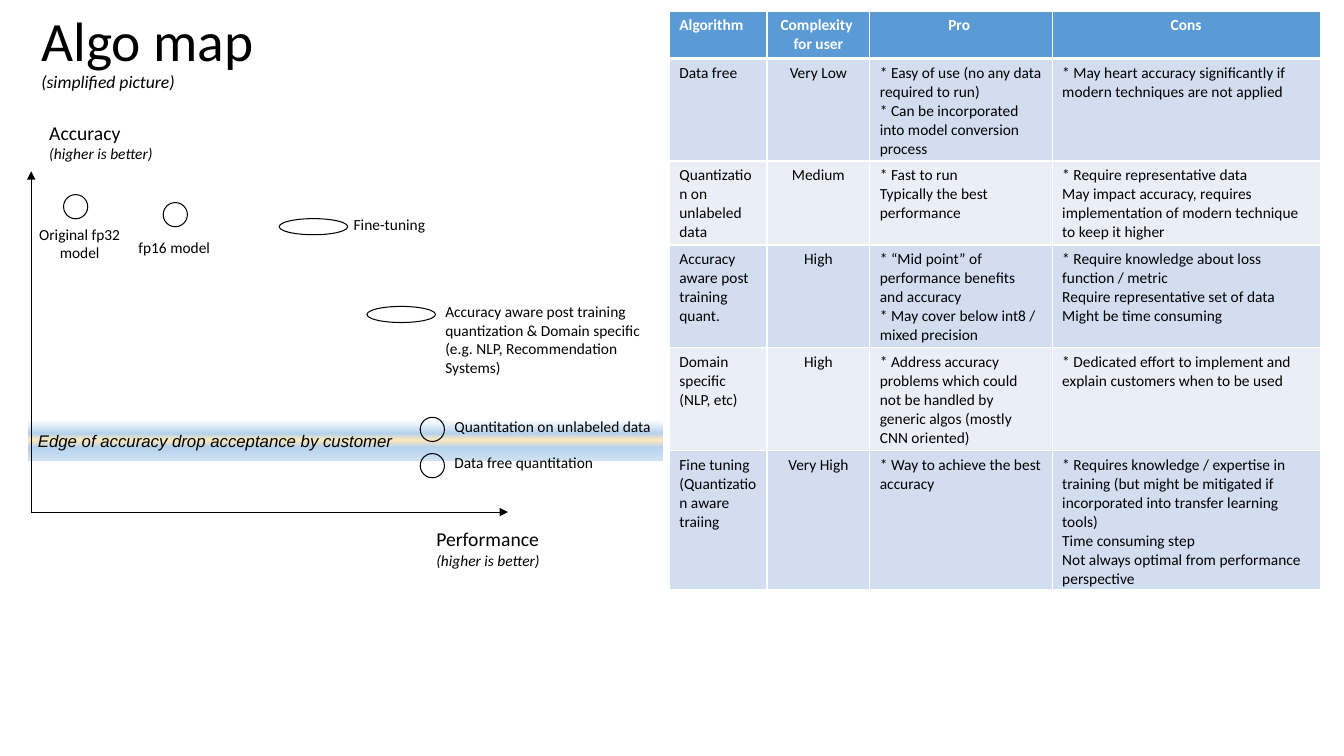
import pptx
import pptx.dml.color
import pptx.enum.shapes
import pptx.enum.text
import pptx.oxml
import pptx.oxml.ns
import pptx.util
from dataclasses import dataclass
from lxml import etree

Pt = pptx.util.Pt
qn = pptx.oxml.ns.qn
Align = pptx.enum.text.PP_ALIGN
Anchor = pptx.enum.text.MSO_ANCHOR
Shape = pptx.enum.shapes.MSO_SHAPE


@dataclass(frozen=True)
class Theme:
    font: str = "Calibri"
    band_font: str = "Arial"
    ink: str = "000000"
    paper: str = "FFFFFF"
    header: str = "5B9BD5"
    rows: tuple = ("D2DEEF", "EAEFF7")
    band: tuple = ((0, "F7FAFD"), (31, "B5D2EC"), (48, "FFE8BA"), (66, "B5D2EC"), (100, "CEE1F2"))
    title: float = 39.6
    subtitle: float = 12.6
    axis: float = 14
    band_size: float = 12
    body: float = 11


class AlgoSlide:
    def __init__(self, slide, theme):
        self.slide = slide
        self.theme = theme

    def style(self, paragraph, size, color=None, font=None, bold=False, italic=False, align=Align.LEFT):
        paragraph.alignment = align
        for run in paragraph.runs:
            run.font.name = font or self.theme.font
            run.font.size = Pt(size)
            run.font.bold, run.font.italic = bold, italic
            run.font.color.rgb = pptx.dml.color.RGBColor.from_string(color or self.theme.ink)

    def title(self, heading, subtitle, left, top, width, height):
        title = self.slide.shapes.title
        title.left, title.top, title.width, title.height = Pt(left), Pt(top), Pt(width), Pt(height)
        frame = title.text_frame
        frame.auto_size = pptx.enum.text.MSO_AUTO_SIZE.NONE
        frame.vertical_anchor = Anchor.MIDDLE
        paragraph = frame.paragraphs[0]
        paragraph.text = f"{heading} \v{subtitle}"
        paragraph.line_spacing = 0.9
        self.style(paragraph, self.theme.title)
        paragraph.runs[1].font.size = Pt(self.theme.subtitle)
        paragraph.runs[1].font.italic = True
        line_break = paragraph._p.find(qn("a:br"))
        etree.SubElement(line_break, qn("a:rPr")).set("sz", str(round(self.theme.title * 100)))

    def label(self, lines, left, top, width, height, align=Align.LEFT, wrap=True):
        frame = self.slide.shapes.add_textbox(Pt(left), Pt(top), Pt(width), Pt(height)).text_frame
        frame.word_wrap = wrap
        frame.auto_size = pptx.enum.text.MSO_AUTO_SIZE.SHAPE_TO_FIT_TEXT
        frame.text = "\n".join(lines)
        for paragraph in frame.paragraphs:
            self.style(paragraph, self.theme.body, align=align)
        return frame

    def axis(self, name, start, end, left, top, width):
        arrow = self.slide.shapes.add_connector(
            pptx.enum.shapes.MSO_CONNECTOR.STRAIGHT, *map(Pt, start + end))
        arrow.line.width = Pt(0.5)
        arrow.line.color.rgb = pptx.dml.color.RGBColor.from_string(self.theme.ink)
        etree.SubElement(arrow.line._get_or_add_ln(), qn("a:tailEnd")).set("type", "triangle")
        etree.SubElement(arrow._element.spPr, qn("a:effectLst"))
        caption = self.label([name, "(higher is better)"], left, top, width, 38.9).paragraphs
        self.style(caption[0], self.theme.axis)
        self.style(caption[1], self.theme.body, italic=True)

    def marker(self, left, top, width, height):
        marker = self.slide.shapes.add_shape(Shape.OVAL, Pt(left), Pt(top), Pt(width), Pt(height))
        marker.shadow.inherit = False
        marker.fill.background()
        marker.line.width = Pt(0.75)
        marker.line.color.rgb = pptx.dml.color.RGBColor.from_string(self.theme.ink)

    def band(self, text, left, top, width, height):
        band = self.slide.shapes.add_shape(Shape.RECTANGLE, Pt(left), Pt(top), Pt(width), Pt(height))
        band.shadow.inherit = False
        band.line.fill.background()
        # Five gradient stops, running top to bottom
        band.fill.gradient()
        band.fill.gradient_angle = 270
        stops = band._element.spPr.find(qn("a:gradFill")).find(qn("a:gsLst"))
        for stop in list(stops):
            stops.remove(stop)
        for position, color in self.theme.band:
            stop = etree.SubElement(stops, qn("a:gs"), pos=str(position * 1000))
            etree.SubElement(stop, qn("a:srgbClr"), val=color)
        band.text_frame.vertical_anchor = Anchor.MIDDLE
        band.text_frame.text = text
        self.style(band.text_frame.paragraphs[0], self.theme.band_size,
                   font=self.theme.band_font, italic=True)

    def borders(self, cell, top, bottom):
        properties = cell._tc.get_or_add_tcPr()
        for side, width in (("L", 1), ("R", 1), ("T", top), ("B", bottom)):
            edge = etree.SubElement(properties, qn(f"a:ln{side}"), w=str(Pt(width)))
            fill = etree.SubElement(edge, qn("a:solidFill"))
            etree.SubElement(fill, qn("a:srgbClr"), val=self.theme.paper)

    def table(self, rows, left, top, widths, header_height, row_height):
        heights = [header_height] + [row_height] * (len(rows) - 1)
        table = self.slide.shapes.add_table(
            len(rows), len(widths), Pt(left), Pt(top), Pt(sum(widths)), Pt(sum(heights))).table
        for column, width in zip(table.columns, widths):
            column.width = Pt(width)
        for r, (texts, height) in enumerate(zip(rows, heights)):
            table.rows[r].height = Pt(height)
            is_header = r == 0
            fill = self.theme.header if is_header else self.theme.rows[(r - 1) % 2]
            for c, text in enumerate(texts):
                cell = table.cell(r, c)
                self.borders(cell, top=3 if r == 1 else 1, bottom=3 if is_header else 1)
                cell.fill.solid()
                cell.fill.fore_color.rgb = pptx.dml.color.RGBColor.from_string(fill)
                cell.text_frame.text = text
                centred = c == 1 or (is_header and c > 0)
                for paragraph in cell.text_frame.paragraphs:
                    self.style(paragraph, self.theme.body,
                               color=self.theme.paper if is_header else None, bold=is_header,
                               align=Align.CENTER if centred else Align.LEFT)


ALGORITHMS = [
    ("Algorithm", "Complexity \nfor user", "Pro ", "Cons"),
    ("Data free", "Very Low",
     "* Easy of use (no any data required to run)\n"
     "* Can be incorporated into model conversion process",
     "* May heart accuracy significantly if modern techniques are not applied"),
    ("Quantization on unlabeled data", "Medium",
     "* Fast to run\nTypically the best performance",
     "* Require representative data\n"
     "May impact accuracy, requires implementation of modern technique to keep it higher"),
    ("Accuracy aware post training quant.", "High",
     "* “Mid point” of performance benefits and accuracy\n"
     "* May cover below int8 / mixed precision",
     "* Require knowledge about loss function / metric\n"
     "Require representative set of data\nMight be time consuming"),
    ("Domain specific (NLP, etc)", "High",
     "* Address accuracy problems which could not be handled by generic algos (mostly CNN oriented)",
     "* Dedicated effort to implement and explain customers when to be used"),
    ("Fine tuning (Quantization aware traiing", "Very High",
     "* Way to achieve the best accuracy",
     "* Requires knowledge / expertise in training "
     "(but might be mitigated if incorporated into transfer learning tools)\n"
     "Time consuming step\nNot always optimal from performance perspective"),
]


def main():
    deck = pptx.Presentation()
    deck.slide_width, deck.slide_height = Pt(960), Pt(540)
    page = AlgoSlide(deck.slides.add_slide(deck.slide_layouts[5]), Theme())

    page.title("Algo map", "(simplified picture)", 22.3, 3.6, 801.4, 68.4)
    page.band("Edge of accuracy drop acceptance by customer", 20, 301, 453.6, 28)

    # Axes
    origin = (22.3, 365.8)
    page.axis("Accuracy", origin, (origin[0], 122.4), 28.1, 82.8, 90.7)
    page.axis("Performance", origin, (362.9, origin[1]), 304.6, 373, 96.5)

    # Algorithms on the map: circles, then flat ellipses
    for left, top in ((45.4, 139), (116.6, 144.7), (300.2, 324), (300.2, 298.1)):
        page.marker(left, top, 17.3, 17.3)
    for left, top in ((199.4, 156.2), (262.1, 218.9)):
        page.marker(left, top, 49, 11.5)

    # Algorithm names
    page.label(["Original fp32 model"], 5.8, 157, 102.2, 33.8, Align.CENTER)
    page.label(["fp16 model"], 91.4, 166.3, 66.2, 21.6, Align.CENTER, wrap=False)
    page.label(["Data free quantitation"], 317.5, 320.4, 118.8, 20.9)
    page.label(["Quantitation on unlabeled data"], 317.5, 294.5, 162, 20.9)
    page.label(["Fine-tuning"], 245.5, 149.8, 162, 20.9)
    page.label(["Accuracy aware post training",
                "quantization & Domain specific (e.g. NLP, Recommendation Systems)"],
               311, 212.4, 173.5, 60.5)

    # Comparison table
    page.table(ALGORITHMS, 478.1, 7.9, (69.8, 73.4, 130.3, 191.5), 33.8, 29.5)

    deck.save("out.pptx")


if __name__ == "__main__":
    main()
